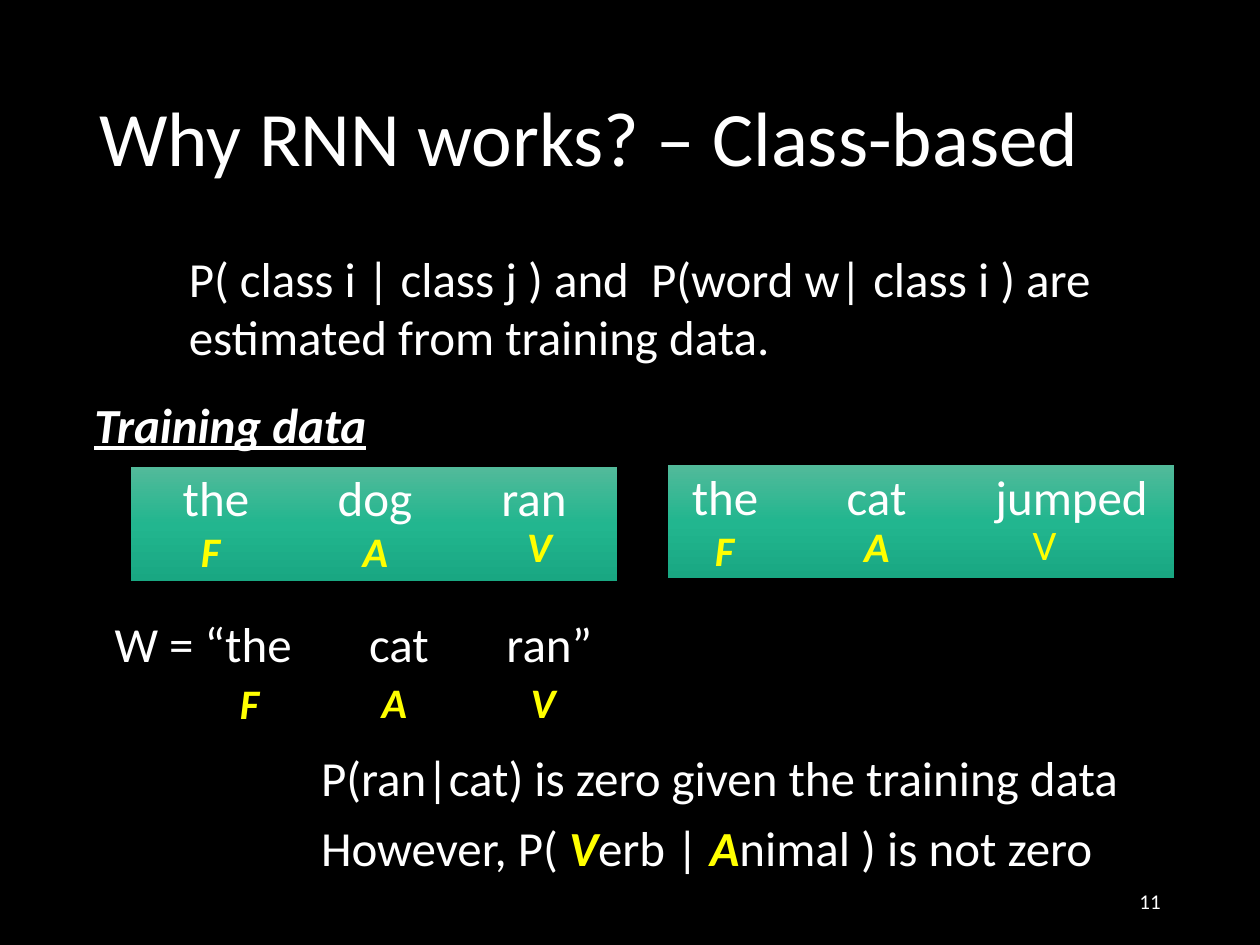
from copy import deepcopy
from dataclasses import dataclass

from pptx import Presentation
from pptx.dml.color import RGBColor
from pptx.enum.shapes import MSO_SHAPE
from pptx.enum.text import MSO_ANCHOR, MSO_AUTO_SIZE, PP_ALIGN
from pptx.oxml import parse_xml
from pptx.oxml.ns import nsdecls, qn
from pptx.slide import Slide
from pptx.util import Inches, Pt

LEFT, CENTER, RIGHT = PP_ALIGN.LEFT, PP_ALIGN.CENTER, PP_ALIGN.RIGHT
TOP, MIDDLE = MSO_ANCHOR.TOP, MSO_ANCHOR.MIDDLE
GROW = MSO_AUTO_SIZE.SHAPE_TO_FIT_TEXT
RECTANGLE = MSO_SHAPE.RECTANGLE

FONT = "Calibri"
BLACK, WHITE, YELLOW = "000000", "FFFFFF", "FFFF00"
PANEL_STOPS = ((0, "52BA9A"), (0.5, "22B68F"), (1, "19A782"))
LABEL_WIDTH, LABEL_HEIGHT = 1.24, 0.5
SENTENCE_WIDTH, LINE_HEIGHT = 4.18, 0.57


@dataclass
class Span:
    text: str
    color: str = WHITE
    emphasis: bool = False
    underline: bool = False


@dataclass
class Note:
    left: float
    top: float
    width: float
    height: float
    spans: list[Span]
    size: int = 28
    align: int = LEFT
    anchor: int = TOP
    wrap: bool = True
    grow: bool = True
    line_spacing: float = 1.0


@dataclass
class ClassLabel:
    letter: str
    left: float
    top: float
    emphasis: bool = True


@dataclass
class Sentence:
    words: list[str]
    left: float
    top: float
    inset: float
    tabs: list[float]
    labels: list[ClassLabel]


@dataclass
class Panel:
    left: float
    top: float
    width: float
    height: float = 0.9


PANELS = [Panel(5.3, 3.69, 4.02), Panel(1.04, 3.71, 3.86)]

SENTENCES = [
    Sentence(["the", "dog", "ran"], 0.88, 3.66, 0.57, [1.23, 2.53], [
        ClassLabel("F", 1.05, 4.12),
        ClassLabel("A", 2.36, 4.12),
        ClassLabel("V", 3.66, 4.08),
    ]),
    Sentence(["the", "cat", "jumped"], 5.2, 3.65, 0.29, [1.23, 2.41], [
        ClassLabel("F", 5.13, 4.11),
        ClassLabel("A", 6.34, 4.08),
        ClassLabel("V", 7.67, 4.07, emphasis=False),
    ]),
    Sentence(["W = “the", "cat", "ran”"], 0.71, 4.82, 0.2, [2.02, 3.11], [
        ClassLabel("F", 1.36, 5.33),
        ClassLabel("A", 2.51, 5.32),
        ClassLabel("V", 3.69, 5.32),
    ]),
]

NOTES = [
    Note(0.69, 0.4, 8.62, 1.45, [Span("Why RNN works? – Class-based")],
         size=44, anchor=MIDDLE, grow=False, line_spacing=0.9),
    Note(1.4, 1.92, 7.85, 1.04, [Span(
        "P( class i | class j ) and  P(word w| class i ) are "
        "estimated from training data.")]),
    Note(0.65, 3.08, 2.38, LINE_HEIGHT,
         [Span("Training data", emphasis=True, underline=True)], wrap=False),
    Note(2.45, 5.88, 7.46, LINE_HEIGHT,
         [Span("P(ran|cat) is zero given the training data")]),
    Note(2.45, 6.44, 6.86, LINE_HEIGHT, [
        Span("However, P( "),
        Span("V", YELLOW, emphasis=True),
        Span("erb | "),
        Span("A", YELLOW, emphasis=True),
        Span("nimal ) is not zero"),
    ]),
    Note(7.06, 6.95, 2.25, 0.4, [Span("11")], size=12, align=RIGHT,
         anchor=MIDDLE, grow=False),
]


def rgb(value: str) -> RGBColor:
    return RGBColor.from_string(value)


def draw_panel(slide: Slide, panel: Panel) -> None:
    rectangle = slide.shapes.add_shape(
        RECTANGLE, Inches(panel.left), Inches(panel.top),
        Inches(panel.width), Inches(panel.height))
    rectangle.shadow.inherit = False
    rectangle.line.fill.background()
    rectangle.fill.gradient()
    rectangle.fill.gradient_angle = 270
    stop_list = next(rectangle.element.iter(qn("a:gsLst")))
    stop_list.insert(1, deepcopy(stop_list[0]))
    for stop, (position, color) in zip(rectangle.fill.gradient_stops, PANEL_STOPS):
        stop.position = position
        stop.color.rgb = rgb(color)


def draw_note(slide: Slide, note: Note):
    frame = slide.shapes.add_textbox(
        Inches(note.left), Inches(note.top),
        Inches(note.width), Inches(note.height)).text_frame
    frame.word_wrap = note.wrap
    frame.vertical_anchor = note.anchor
    if note.grow:
        frame.auto_size = GROW
    paragraph = frame.paragraphs[0]
    paragraph.alignment = note.align
    paragraph.line_spacing = note.line_spacing
    for span in note.spans:
        run = paragraph.add_run()
        run.text = span.text
        run.font.name = FONT
        run.font.size = Pt(note.size)
        run.font.color.rgb = rgb(span.color)
        run.font.bold = run.font.italic = span.emphasis
        run.font.underline = span.underline
    return frame


def draw_sentence(slide: Slide, sentence: Sentence) -> None:
    frame = draw_note(slide, Note(
        sentence.left, sentence.top, SENTENCE_WIDTH, LINE_HEIGHT,
        [Span("\t".join(sentence.words))]))
    frame.margin_left = Inches(sentence.inset)
    frame.margin_right = 0
    stops = "".join(f'<a:tab pos="{Inches(tab)}" algn="l"/>' for tab in sentence.tabs)
    properties = next(frame.paragraphs[0]._p.iter(qn("a:pPr")))
    properties.append(parse_xml(f'<a:tabLst {nsdecls("a")}>{stops}</a:tabLst>'))
    for label in sentence.labels:
        draw_note(slide, Note(
            label.left, label.top, LABEL_WIDTH, LABEL_HEIGHT,
            [Span(label.letter, YELLOW, label.emphasis)], size=24, align=CENTER))


def main() -> None:
    deck = Presentation()
    deck.slide_width, deck.slide_height = Inches(10), Inches(7.5)
    slide = deck.slides.add_slide(deck.slide_layouts[6])
    slide.background.fill.solid()
    slide.background.fill.fore_color.rgb = rgb(BLACK)
    for panel in PANELS:
        draw_panel(slide, panel)
    for note in NOTES:
        draw_note(slide, note)
    for sentence in SENTENCES:
        draw_sentence(slide, sentence)
    deck.save("out.pptx")


if __name__ == "__main__":
    main()
